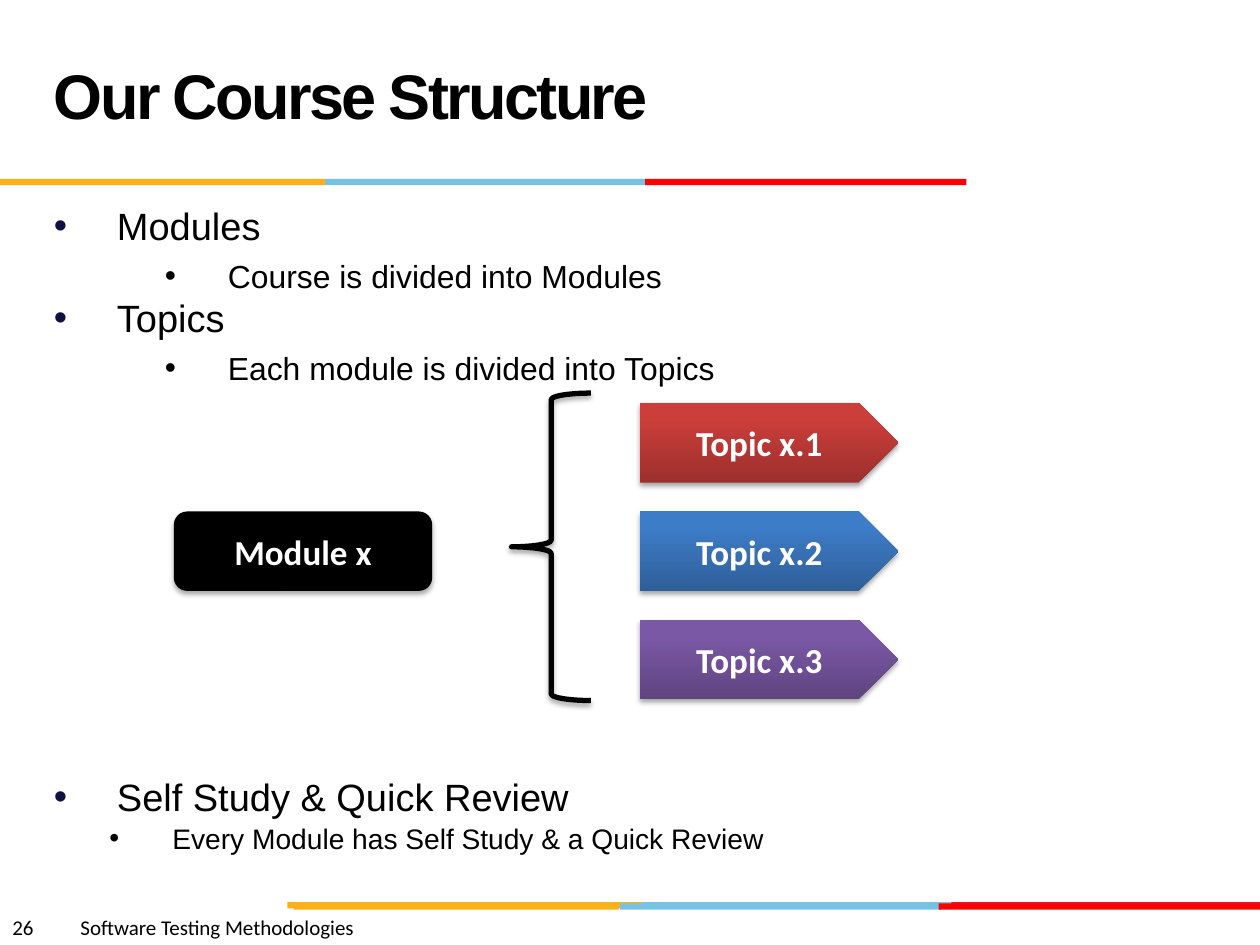
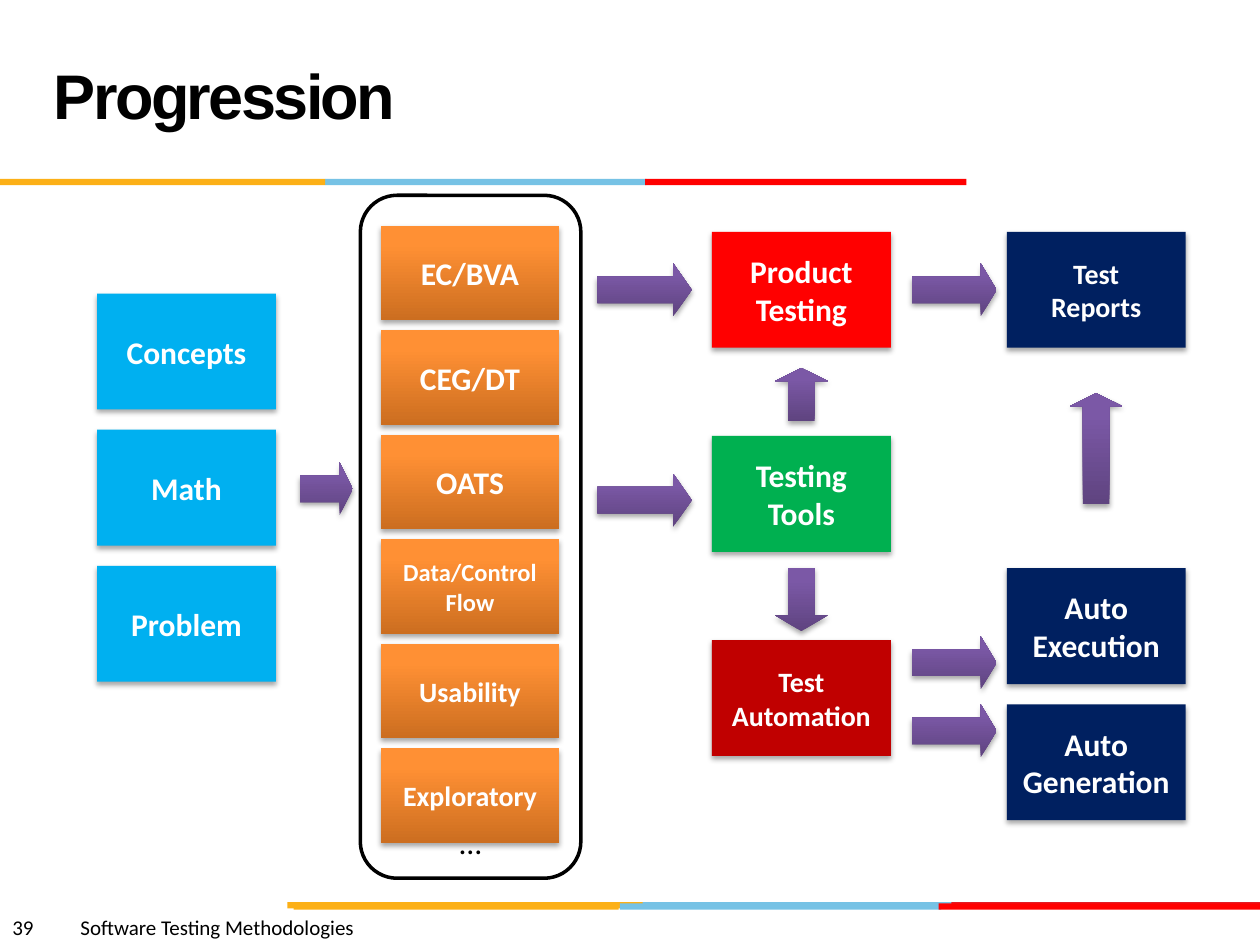
from lxml.etree import SubElement
from pptx import Presentation
from pptx.dml.color import RGBColor
from pptx.enum.shapes import MSO_SHAPE
from pptx.enum.text import MSO_ANCHOR, PP_ALIGN
from pptx.oxml.ns import qn
from pptx.util import Inches, Pt

COLOURS = {
    "black": "000000", "white": "FFFFFF", "bullet": "101141",
    "gold": "FCB017", "light_blue": "76C2E5", "crimson": "E31C24", "red": "FF0000",
    "sky": "00B0F0", "green": "00B050", "dark_red": "C00000", "navy": "002060",
}
# Gradients run from the bottom colour to the top colour
GRADIENTS = {
    "red_fade": ("9C2F2D", "CB3E3A"),
    "blue_fade": ("2F5F99", "3D7CC7"),
    "purple_fade": ("5F4480", "7B58A6"),
    "orange_fade": ("CC6E20", "FF9034"),
}

COURSE = "Software Testing Methodologies"
# Each band: top, then (left, width, colour) of its segments
BANDS = [
    (7.16, [(5.06, 2.55, "light_blue"), (7.55, 2.45, "crimson"), (2.28, 2.82, "gold")]),
    (7.17, [(4.92, 2.55, "light_blue"), (2.33, 2.58, "gold"), (7.45, 2.55, "red")]),
    (1.42, [(2.58, 2.55, "light_blue"), (0, 2.58, "gold"), (5.12, 2.55, "red")]),
]
BAND_HEIGHT = 0.05

# Outline styles: text indent, size, line spacing, bullet colour
OUTLINE_STYLES = {
    "heading": (0.5, 21.7, 0.8, "bullet"),
    "detail": (1.38, 18.2, 1.0, "black"),
    "note": (0.94, 16.1, 0.8, "black"),
}
# Each outline: top, height, lines
OUTLINES = [
    (1.63, 1.5, [("heading", "Modules"), ("detail", "Course is divided into Modules"),
                 ("heading", "Topics"), ("detail", "Each module is divided into Topics")]),
    (6.16, 0.7, [("heading", "Self Study & Quick Review"),
                 ("note", "Every Module has Self Study & a Quick Review")]),
]
TOPICS = [("Topic x.1", "red_fade"), ("Topic x.2", "blue_fade"), ("Topic x.3", "purple_fade")]
TOPIC_SIZE = (2.05, 0.63)
TOPIC_TOP, TOPIC_STEP = 3.2, 0.86

# Each column: left, first top, step, box height, boxes of (lines, text size, fill)
COLUMNS = [
    (0.77, 2.33, 1.08, 0.92, [
        (["Concepts"], 18, "sky"), (["Math"], 18, "sky"), (["Problem"], 18, "sky")]),
    (3.02, 1.79, 0.83, 0.75, [
        (["EC/BVA"], 18, "orange_fade"), (["CEG/DT"], 18, "orange_fade"),
        (["OATS"], 18, "orange_fade"), (["Data/Control", "Flow"], 14, "orange_fade"),
        (["Usability"], 16, "orange_fade"), (["Exploratory"], 16, "orange_fade")]),
    (5.65, 1.84, 1.62, 0.92, [
        (["Product", "Testing"], 18, "red"), (["Testing", "Tools"], 18, "green"),
        (["Test", "Automation"], 16, "dark_red")]),
    (7.99, 1.84, 0, 0.92, [(["Test", "Reports"], 16, "navy")]),
    (7.99, 4.51, 1.08, 0.92, [
        (["Auto", "Execution"], 18, "navy"), (["Auto", "Generation"], 18, "navy")]),
]
STAGE_WIDTH = 1.42

RIGHT, UP, DOWN = MSO_SHAPE.RIGHT_ARROW, MSO_SHAPE.UP_ARROW, MSO_SHAPE.DOWN_ARROW
ARROW_BREADTH = 0.42
# Each arrow: direction, left, top, length, head ratio
ARROWS = [
    (RIGHT, 2.38, 3.67, 0.42, 0.25),
    (RIGHT, 4.74, 2.09, 0.75, 0.35),
    (RIGHT, 4.74, 3.76, 0.75, 0.35),
    (RIGHT, 7.24, 2.09, 0.67, 0.3),
    (RIGHT, 7.24, 5.05, 0.67, 0.3),
    (RIGHT, 7.24, 5.59, 0.67, 0.3),
    (UP, 6.15, 2.92, 0.42, 0.25),
    (DOWN, 6.15, 4.51, 0.5, 0.3),
    (UP, 8.49, 3.12, 0.88, 0.25),
]


def rgb(name):
    return RGBColor.from_string(COLOURS[name])


def paint(fill, name):
    """Fill with a gradient, a plain colour, or nothing when name is None."""
    if name is None:
        fill.background()
    elif name in GRADIENTS:
        fill.gradient()
        fill.gradient_angle = 90
        for stop, colour, position in zip(fill.gradient_stops, GRADIENTS[name], (0, 0.8)):
            stop.color.rgb = RGBColor.from_string(colour)
            stop.position = position
    else:
        fill.solid()
        fill.fore_color.rgb = rgb(name)


def cast_shadow(shape):
    effects = shape._element.spPr.find(qn("a:effectLst"))
    shadow = SubElement(effects, qn("a:outerShdw"), blurRad=str(Pt(3.1)), dist=str(Pt(1.8)),
                        dir="5400000", rotWithShape="0")
    colour = SubElement(shadow, qn("a:srgbClr"), val=COLOURS["black"])
    SubElement(colour, qn("a:alpha"), val="35000")


def add_figure(slide, kind, box, fill, line_width=0, shadow=True):
    shape = slide.shapes.add_shape(kind, *map(Inches, box))
    shape.shadow.inherit = False
    paint(shape.fill, fill)
    if line_width:
        shape.line.color.rgb = rgb("black")
        shape.line.width = Pt(line_width)
    else:
        shape.line.fill.background()
    if shadow:
        cast_shadow(shape)
    return shape


def add_run(paragraph, text, size, font="Calibri", colour="black", bold=False):
    run = paragraph.add_run()
    run.text = text
    run.font.size = Pt(size)
    run.font.name = font
    run.font.bold = bold
    run.font.color.rgb = rgb(colour)
    return run


def label(shape, lines, size, colour="white", bold=True, anchor=MSO_ANCHOR.MIDDLE, wrap=False):
    frame = shape.text_frame
    frame.word_wrap = wrap
    frame.vertical_anchor = anchor
    for index, line in enumerate(lines):
        paragraph = frame.add_paragraph() if index else frame.paragraphs[0]
        paragraph.alignment = PP_ALIGN.CENTER
        add_run(paragraph, line, size, colour=colour, bold=bold)


def add_text_frame(slide, *box):
    frame = slide.shapes.add_textbox(*map(Inches, box)).text_frame
    frame.word_wrap = True
    return frame


def add_base(deck, title, number):
    """Add a slide with the shared bands, footer and title."""
    slide = deck.slides.add_slide(deck.slide_layouts[6])
    for top, segments in BANDS:
        for left, width, colour in segments:
            add_figure(slide, MSO_SHAPE.RECTANGLE, (left, top, width, BAND_HEIGHT),
                       colour, shadow=False)
    for left, width, text in ((0, 0.54, str(number)), (0.54, 4.46, COURSE)):
        footer = add_text_frame(slide, left, 7.21, width, 0.3)
        add_run(footer.paragraphs[0], text, 12)
    heading = add_text_frame(slide, 0.33, 0.17, 6.92, 1.25)
    heading.vertical_anchor = MSO_ANCHOR.MIDDLE
    heading.paragraphs[0].line_spacing = Pt(36)
    run = add_run(heading.paragraphs[0], title, 36, "Arial", bold=True)
    run.font._element.set("spc", "-150")
    return slide


def add_outline(slide, top, height, lines):
    frame = add_text_frame(slide, 0.33, top, 9, height)
    for index, (style, text) in enumerate(lines):
        indent, size, spacing, bullet_colour = OUTLINE_STYLES[style]
        paragraph = frame.add_paragraph() if index else frame.paragraphs[0]
        paragraph.line_spacing = spacing
        paragraph.space_before = Pt(5)
        properties = paragraph._p.get_or_add_pPr()
        properties.set("marL", str(Inches(indent)))
        properties.set("indent", str(Inches(-0.5)))
        colour = SubElement(properties, qn("a:buClr"))
        SubElement(colour, qn("a:srgbClr"), val=COLOURS[bullet_colour])
        SubElement(properties, qn("a:buFont"), typeface="Arial")
        SubElement(properties, qn("a:buChar"), char="•")
        add_run(paragraph, text, size, "Arial")


def build_structure(deck):
    slide = add_base(deck, "Our Course Structure", 26)
    for outline in OUTLINES:
        add_outline(slide, *outline)
    module = add_figure(slide, MSO_SHAPE.ROUNDED_RECTANGLE, (1.38, 4.06, *TOPIC_SIZE), "black")
    label(module, ["Module x"], 20, wrap=True)
    for row, (name, fill) in enumerate(TOPICS):
        box = (5.08, TOPIC_TOP + row * TOPIC_STEP, *TOPIC_SIZE)
        label(add_figure(slide, MSO_SHAPE.PENTAGON, box, fill), [name], 20, wrap=True)
    add_figure(slide, MSO_SHAPE.LEFT_BRACE, (4.06, 3.12, 0.63, 2.44), None, line_width=3)


def build_progression(deck):
    slide = add_base(deck, "Progression", 39)
    techniques = add_figure(slide, MSO_SHAPE.ROUNDED_RECTANGLE, (2.86, 1.55, 1.75, 5.42),
                            "white", line_width=2, shadow=False)
    label(techniques, ["…"], 18, "black", bold=False, anchor=MSO_ANCHOR.BOTTOM, wrap=True)
    for left, top, step, height, stages in COLUMNS:
        for row, (lines, size, fill) in enumerate(stages):
            box = (left, top + row * step, STAGE_WIDTH, height)
            label(add_figure(slide, MSO_SHAPE.RECTANGLE, box, fill), lines, size)
    for direction, left, top, length, head in ARROWS:
        extent = (length, ARROW_BREADTH) if direction == RIGHT else (ARROW_BREADTH, length)
        arrow = add_figure(slide, direction, (left, top, *extent), "purple_fade")
        arrow.adjustments[0] = 0.5
        arrow.adjustments[1] = head


def main():
    deck = Presentation()
    deck.slide_width, deck.slide_height = Inches(10), Inches(7.5)
    build_structure(deck)
    build_progression(deck)
    deck.save("out.pptx")


if __name__ == "__main__":
    main()
